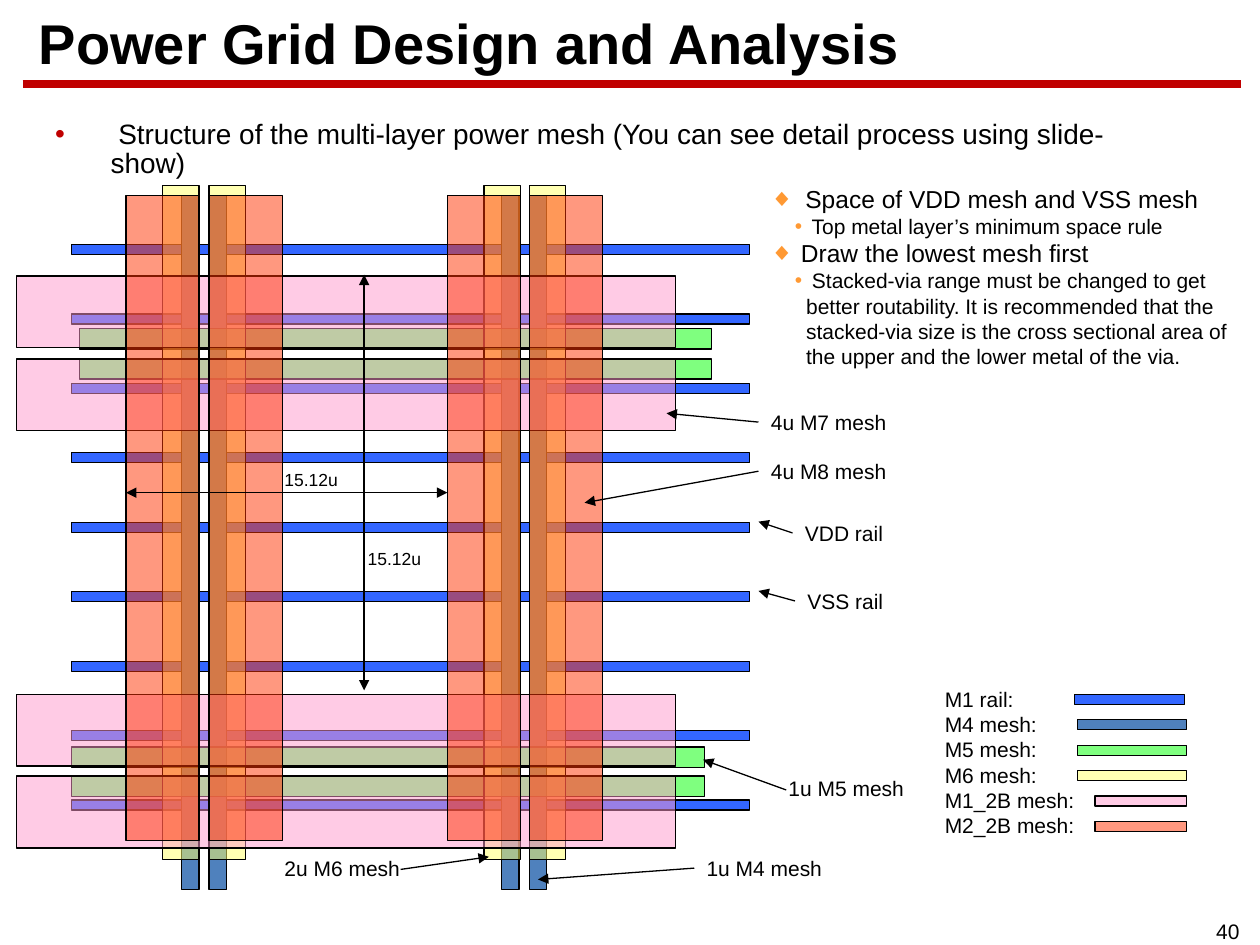
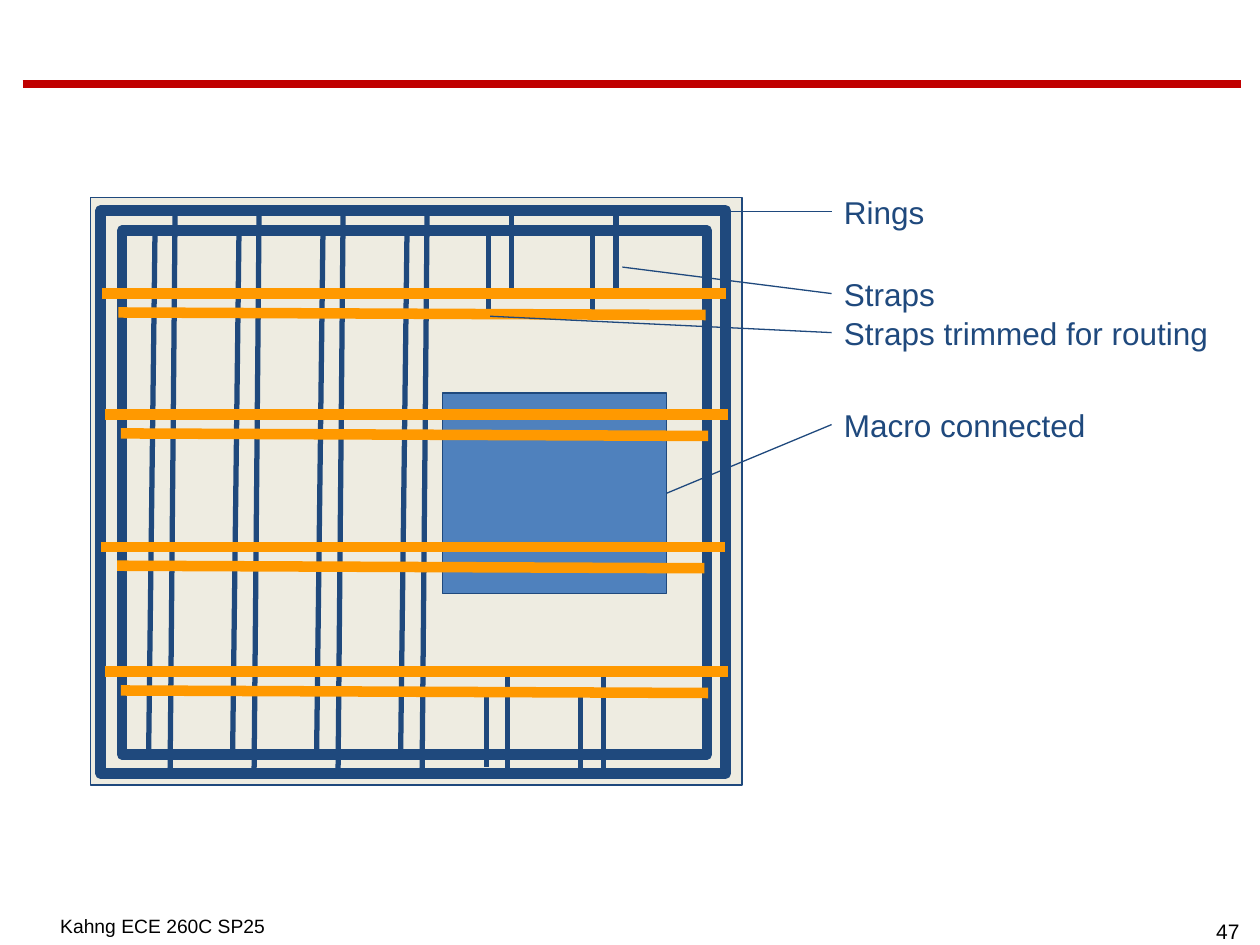
from itertools import product
from lxml import etree
from pptx import Presentation
from pptx.dml.color import RGBColor
from pptx.enum.shapes import MSO_CONNECTOR, MSO_SHAPE
from pptx.enum.text import MSO_ANCHOR, MSO_AUTO_SIZE, PP_ALIGN
from pptx.oxml.ns import qn
from pptx.util import Inches, Pt

RECT, STRAIGHT = MSO_SHAPE.RECTANGLE, MSO_CONNECTOR.STRAIGHT
MIDDLE, CENTER = MSO_ANCHOR.MIDDLE, PP_ALIGN.CENTER
LEFT_SIDE, RIGHT_SIDE = 1, 3
FONT = "Arial"
C = {"black": "000000", "band": "C00000", "bullet": "FF9933",
     "navy": "1F497D", "die": "EEECE1", "macro": "4F81BD", "strap": "FF9900",
     "M1": "3366FF", "M4": "4F81BD", "M5": "00FF00", "M6": "FFFF66",
     "M7": "FF99CC", "M8": "FF3300"}


def spread(first, last, n):
    """Return n evenly spaced values from first to last."""
    return [first + (last - first) * i / (n - 1) for i in range(n)]


# Power mesh: layer, opacity, lefts, tops, bar width, bar height
MESH = [
    ("M1", 100, [0.57], spread(1.94, 6.35, 9), 5.38, 0.08),
    ("M4", 100, [1.44, 1.66, 3.98, 4.2], [1.55], 0.14, 5.51),
    ("M5", 50, [0.63], [2.61, 2.85], 5.02, 0.16),
    ("M5", 50, [0.57], [5.93, 6.16], 5.02, 0.16),
    ("M6", 50, [1.29, 1.66, 3.84, 4.2], [1.47], 0.29, 5.35),
    ("M7", 50, [0.13], [2.19, 2.85, 5.51, 6.16], 5.23, 0.57),
    ("M8", 50, [1, 1.66, 3.55, 4.2], [1.55], 0.58, 5.12),
]
# Legend: text, layer, swatch left, swatch width
LEGEND = [
    ("M1 rail:", "M1", 8.53, 0.87), ("M4 mesh:", "M4", 8.55, 0.87),
    ("M5 mesh:", "M5", 8.55, 0.87), ("M6 mesh:", "M6", 8.55, 0.87),
    ("M1_2B mesh:", "M7", 8.69, 0.73), ("M2_2B mesh:", "M8", 8.69, 0.73),
]
# Callouts: text, left, top, width, arrow start (None: left side of the label), arrow tip
CALLOUTS = [
    ("VDD rail", 6.29, 4.08, 0.86, None, (6.02, 4.14)),
    ("VSS rail", 6.31, 4.62, 0.84, None, (6.02, 4.69)),
    ("1u M5 mesh", 6.16, 6.11, 1.17, (6.24, 6.27), (5.58, 6.03)),
    ("2u M6 mesh", 2.16, 6.74, 1.17, (3.18, 6.9), (3.88, 6.8)),
    ("1u M4 mesh", 5.51, 6.74, 1.17, None, (4.27, 6.98)),
    ("4u M7 mesh", 6.02, 3.2, 1.17, None, (5.29, 3.28)),
    ("4u M8 mesh", 6.02, 3.59, 1.17, None, (4.64, 3.99)),
]
# Pitches: arrow start, arrow end, text place
PITCHES = [((2.89, 2.18), (2.89, 5.48), (2.82, 4.3)),
           ((1, 3.91), (3.55, 3.91), (2.16, 3.67))]
# Notes: text, size, bullet, left margin, hanging indent
NOTES = [
    (" Space of VDD mesh and VSS mesh", 14, "◆", 0.23, 0.23),
    (" Top metal layer’s minimum space rule", 12, "•", 0.29, 0.09),
    (" Draw the lowest mesh first", 14, "◆", 0.19, 0.19),
    (" Stacked-via range must be changed to get better routability. It is "
     "recommended that the stacked-via size is the cross sectional area of the "
     "upper and the lower metal of the via.", 12, "•", 0.29, 0.09),
]
STRUCTURE = (" Structure of the multi-layer power mesh (You can see detail "
             "process using slide-show)")

RINGS = [(0.8, 1.67, 4.96, 4.47), (0.97, 1.83, 4.64, 4.16)]
# Vertical straps cut short: x, top, bottom
SHORT_STRAPS = [
    (3.88, 1.87, 2.5), (4.06, 1.67, 2.35), (4.7, 1.86, 2.5), (4.89, 1.67, 2.35),
    (3.86, 5.5, 6.09), (4.03, 5.32, 6.14), (4.61, 5.5, 6.1), (4.79, 5.32, 6.14),
]
STRAP_ROWS = [(0.81, 2.33), (0.83, 3.29), (0.8, 4.34), (0.83, 5.33)]
# Part names: text, top, leader end (None: right side of the macro)
PART_NAMES = [("Rings", 1.43, (5.75, 1.68)), ("Straps", 2.08, (4.94, 2.12)),
              ("Straps trimmed for routing", 2.39, (3.89, 2.51)),
              ("Macro connected", 3.12, None)]


def rgb(name):
    return RGBColor.from_string(C[name])


def add_box(s, at, fill=None, line="black", width=0.75, opacity=100):
    sp = s.shapes.add_shape(RECT, *map(Inches, at))
    sp.shadow.inherit = False
    sp.line.color.rgb, sp.line.width = rgb(line), Pt(width)
    if fill is None:
        sp.fill.background()
        return sp
    sp.fill.solid()
    sp.fill.fore_color.rgb = rgb(fill)
    if opacity < 100:
        clr = sp._element.spPr.find(qn("a:solidFill"))[0]
        etree.SubElement(clr, qn("a:alpha"), val=str(opacity * 1000))
    return sp


def add_line(s, start, end, color="black", width=0.75, ends=()):
    """Draw a straight line; ends names the ends with arrowheads (head, tail)."""
    ln = s.shapes.add_connector(STRAIGHT, *map(Inches, (*start, *end)))
    ln.line.color.rgb, ln.line.width = rgb(color), Pt(width)
    for side in ends:
        etree.SubElement(ln.line._get_or_add_ln(), qn(f"a:{side}End"), type="triangle")
    etree.SubElement(ln._element.spPr, qn("a:effectLst"))
    return ln


def set_bullet(p, char, color, margin, hang):
    pPr = p._p.get_or_add_pPr()
    pPr.set("marL", str(Inches(margin)))
    pPr.set("indent", str(-Inches(hang)))
    clr = etree.SubElement(pPr, qn("a:buClr"))
    etree.SubElement(clr, qn("a:srgbClr"), val=C[color])
    etree.SubElement(pPr, qn("a:buFont"), typeface=FONT)
    etree.SubElement(pPr, qn("a:buChar"), char=char)


def add_text(s, at, texts, size=12, color="black", bold=False, wrap=True,
             grow=False, inset=0.05, bullets=(), sizes=(), **para):
    """Add a text box with one paragraph per text; para holds paragraph settings."""
    sp = s.shapes.add_textbox(*map(Inches, at))
    tf = sp.text_frame
    tf.word_wrap = wrap
    tf.auto_size = MSO_AUTO_SIZE.SHAPE_TO_FIT_TEXT if grow else MSO_AUTO_SIZE.NONE
    tf.margin_top = tf.margin_bottom = Inches(inset)
    for i, text in enumerate(texts):
        p = tf.paragraphs[0] if i == 0 else tf.add_paragraph()
        for key, value in para.items():
            setattr(p, key, value)
        if bullets:
            set_bullet(p, *bullets[i])
        r = p.add_run()
        r.text = text
        form = {"name": FONT, "size": Pt(sizes[i] if sizes else size), "bold": bold}
        for key, value in form.items():
            setattr(r.font, key, value)
        r.font.color.rgb = rgb(color)
    return sp


def add_slide(prs, number):
    s = prs.slides.add_slide(prs.slide_layouts[6])
    add_line(s, (0.18, 0.67), (9.85, 0.67), "band", 4.5)
    add_text(s, (9.5, 7.24, 0.49, 0.3), [number], grow=True, alignment=CENTER)
    return s


def build_power_mesh(prs):
    s = add_slide(prs, "40")
    title = add_text(s, (0.21, 0.13, 8.92, 0.47), ["Power Grid Design and Analysis"],
                     32, bold=True, line_spacing=0.9)
    title.text_frame.vertical_anchor = MIDDLE
    add_text(s, (0.28, 0.92, 9.16, 0.3), [STRUCTURE], 16, line_spacing=0.85,
             bullets=[("•", "band", 0.5, 0.44)])

    opacity = {layer: alpha for layer, alpha, *_ in MESH}
    for layer, alpha, lefts, tops, w, h in MESH:
        for x, y in product(lefts, tops):
            add_box(s, (x, y, w, h), layer, opacity=alpha)

    add_text(s, (7.4, 5.4, 1.28, 1.31), [row[0] for row in LEGEND], wrap=False, grow=True)
    for (_, layer, x, w), y in zip(LEGEND, spread(5.51, 6.52, len(LEGEND))):
        add_box(s, (x, y, w, 0.08), layer, opacity=opacity[layer])

    texts, sizes, *marks = zip(*NOTES)
    add_text(s, (6.01, 1.41, 3.99, 1.65), texts, sizes=sizes,
             bullets=[(char, "bullet", *gaps) for char, *gaps in zip(*marks)])

    for text, x, y, w, start, tip in CALLOUTS:
        label = add_text(s, (x, y, w, 0.3), [text], wrap=False, grow=True)
        arrow = add_line(s, start or (x, y + 0.15), tip, ends=["tail"])
        if start is None:
            arrow.begin_connect(label, LEFT_SIDE)
    for start, end, place in PITCHES:
        add_line(s, start, end, ends=["head", "tail"])
        add_text(s, (*place, 0.63, 0.27), ["15.12u"], 10, wrap=False, grow=True)


def build_rings_and_straps(prs):
    s = add_slide(prs, "47")
    add_box(s, (0.72, 1.57, 5.17, 4.66), "die", "navy")
    for ring in RINGS:
        add_box(s, ring, line="navy", width=6)

    for x in spread(1.23, 3.23, 4):
        add_line(s, (x, 1.86), (x - 0.05, 5.95), "navy", 3)
        add_line(s, (x + 0.16, 1.67), (x + 0.12, 6.12), "navy", 3)
    macro = add_box(s, (3.51, 3.12, 1.78, 1.59), "macro", "navy")
    for x, top, bottom in SHORT_STRAPS:
        add_line(s, (x, top), (x, bottom), "navy", 3)
    for x, y in STRAP_ROWS:
        add_line(s, (x, y), (x + 4.95, y), "strap", 6)
        add_line(s, (x + 0.13, y + 0.15), (x + 4.79, y + 0.17), "strap", 6)

    for text, y, end in PART_NAMES:
        label = add_text(s, (6.6, y, 3.6, 0.5), [text], 18, "navy", grow=True, inset=0.1)
        leader = add_line(s, (6.6, y + 0.25), end or (5.29, 3.92), "navy")
        leader.begin_connect(label, LEFT_SIDE)
        if end is None:
            leader.end_connect(macro, RIGHT_SIDE)
    add_text(s, (0.38, 7.21, 1.87, 0.27), ["Kahng ECE 260C SP25"], 11)


def main():
    prs = Presentation()
    prs.slide_width, prs.slide_height = Inches(10), Inches(7.5)
    build_power_mesh(prs)
    build_rings_and_straps(prs)
    prs.save("out.pptx")


if __name__ == "__main__":
    main()
